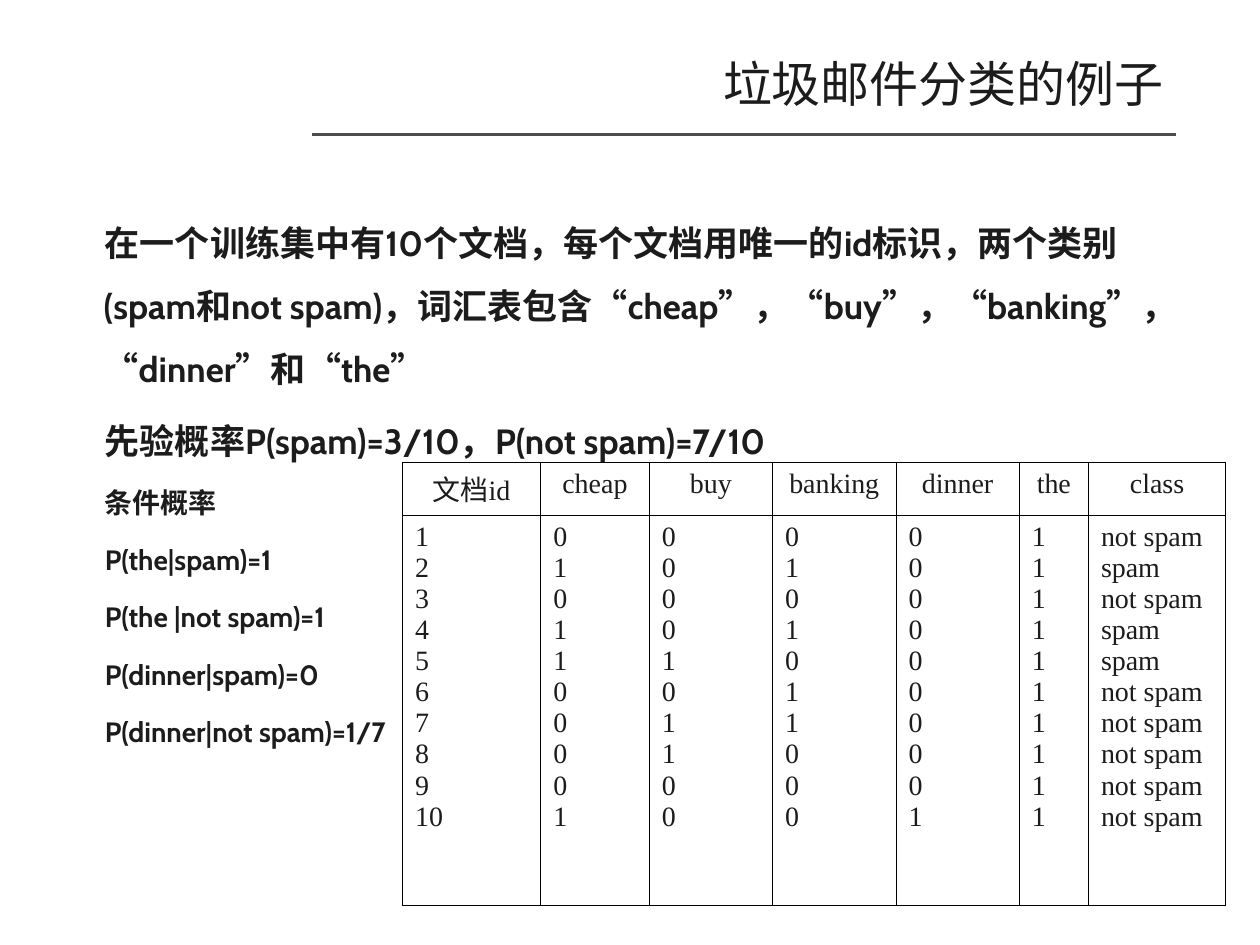
from lxml import etree
from pptx import Presentation
from pptx.dml.color import RGBColor
from pptx.enum import shapes, text
from pptx.oxml import ns
from pptx.util import Pt

INK = RGBColor(0x1C, 0x1C, 0x1C)
RULE = RGBColor(0x4D, 0x4D, 0x4D)
GRID = RGBColor(0, 0, 0)
SANS, SERIF = "Cabin", "Times New Roman"

# Text and size of each body paragraph
NOTES = [
    ("在一个训练集中有10个文档，每个文档用唯一的id标识，两个类别(spam和not spam)，"
     "词汇表包含“cheap”，“buy”，“banking”，“dinner”和“the”", 20),
    ("先验概率P(spam)=3/10，P(not spam)=7/10", 20),
    ("条件概率", 16),
    ("P(the|spam)=1", 16),
    ("P(the |not spam)=1", 16),
    ("P(dinner|spam)=0", 16),
    ("P(dinner|not spam)=1/7", 16),
]

HEADS = ["文档id", "cheap", "buy", "banking", "dinner", "the", "class"]
WIDTHS = [79, 62, 70.5, 70.5, 70.5, 39.5, 78.5]
HEIGHTS = [26.5, 223]
# Word flags of each document, in the order of HEADS, and its class
DOCS = [
    ("00001", "not spam"), ("10101", "spam"), ("00001", "not spam"),
    ("10101", "spam"), ("11001", "spam"), ("00101", "not spam"),
    ("01101", "not spam"), ("01001", "not spam"), ("00001", "not spam"),
    ("10011", "not spam"),
]


def place(shape, box):
    shape.left, shape.top, shape.width, shape.height = map(Pt, box)


def write(para, words, size, face, bold=False):
    run = para.add_run()
    run.text = words
    font = run.font
    font.size, font.name, font.bold = Pt(size), face, bold
    font.color.rgb = INK


def add_title(slide, box):
    title = slide.shapes.title
    place(title, box)
    frame = title.text_frame
    frame.auto_size = text.MSO_AUTO_SIZE.NONE
    frame.vertical_anchor = text.MSO_ANCHOR.MIDDLE
    para = frame.paragraphs[0]
    para.alignment = text.PP_ALIGN.RIGHT
    write(para, "垃圾邮件分类的例子", 28, SANS)


def add_rule(slide, box):
    left, top, width, height = box
    line = slide.shapes.add_connector(
        shapes.MSO_CONNECTOR.STRAIGHT,
        Pt(left), Pt(top), Pt(left + width), Pt(top + height))
    line.line.color.rgb = RULE
    line.line.width = Pt(0)
    etree.SubElement(line.element.spPr, ns.qn("a:effectLst"))


def add_notes(slide, box):
    body = slide.placeholders[1]
    place(body, box)
    frame = body.text_frame
    frame.auto_size = text.MSO_AUTO_SIZE.NONE
    for i, (words, size) in enumerate(NOTES):
        para = frame.add_paragraph() if i else frame.paragraphs[0]
        # Plain paragraph: indented, no bullet
        props = para._p.get_or_add_pPr()
        props.set("marL", str(Pt(27)))
        props.set("indent", str(Pt(0.7)))
        etree.SubElement(props, ns.qn("a:buNone"))
        para.line_spacing = 1.5
        para.space_before = Pt(size / 4 if i else 0)
        write(para, words, size, SANS, bold=True)


def add_edges(cell):
    props = cell._tc.get_or_add_tcPr()
    for i, side in enumerate(("lnL", "lnR", "lnT", "lnB")):
        edge = etree.Element(ns.qn("a:" + side), w=str(Pt(0.45)))
        fill = etree.SubElement(edge, ns.qn("a:solidFill"))
        etree.SubElement(fill, ns.qn("a:srgbClr"), val=str(GRID))
        props.insert(i, edge)


def fill_cell(cell, lines, align):
    cell.fill.background()
    add_edges(cell)
    frame = cell.text_frame
    for i, words in enumerate(lines):
        para = frame.add_paragraph() if i else frame.paragraphs[0]
        para.alignment = align
        write(para, words, 16, SERIF)


def add_docs(slide, box):
    table = slide.shapes.add_table(2, len(HEADS), *map(Pt, box)).table
    table.first_row = table.horz_banding = False
    for row, height in zip(table.rows, HEIGHTS):
        row.height = Pt(height)
    # All documents share one tall row, one paragraph each
    rows = [(str(i), *flags, kind) for i, (flags, kind) in enumerate(DOCS, 1)]
    for col, (head, width, lines) in enumerate(zip(HEADS, WIDTHS, zip(*rows))):
        table.columns[col].width = Pt(width)
        fill_cell(table.cell(0, col), [head], text.PP_ALIGN.CENTER)
        fill_cell(table.cell(1, col), lines, text.PP_ALIGN.LEFT)


def main():
    deck = Presentation()
    deck.slide_width, deck.slide_height = Pt(720), Pt(540)
    slide = deck.slides.add_slide(deck.slide_layouts[1])
    add_rule(slide, (178.5, 77, 493.5, 0))
    add_title(slide, (50, 25, 622, 45))
    add_notes(slide, (25, 111, 659, 401))
    add_docs(slide, (230, 264, sum(WIDTHS), sum(HEIGHTS)))
    deck.save("out.pptx")


if __name__ == "__main__":
    main()
